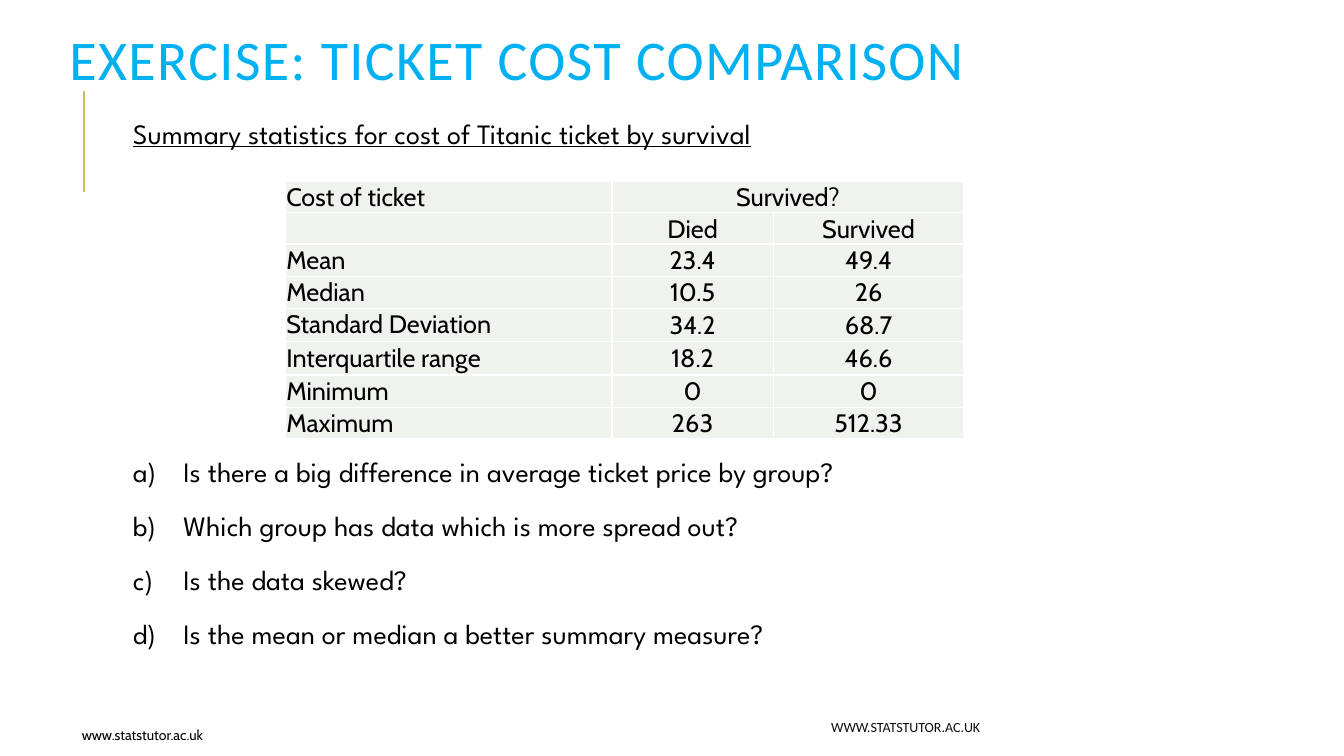
from lxml import etree
from pptx import Presentation
from pptx.dml.color import RGBColor
from pptx.enum import shapes, text
from pptx.oxml.ns import qn
from pptx.util import Inches, Pt

BLACK = RGBColor(0x00, 0x00, 0x00)
NEAR_BLACK = RGBColor(0x0D, 0x0D, 0x0D)
SKY = RGBColor(0x00, 0xB0, 0xF0)
GOLD = RGBColor(0xCE, 0xB9, 0x66)
PALE = RGBColor(0xEF, 0xF2, 0xED)

ANCHOR = text.MSO_ANCHOR
ALIGN = text.PP_ALIGN


def style(paragraph, font_name, size, color, align=ALIGN.LEFT):
    paragraph.alignment = align
    paragraph.font.name = font_name
    paragraph.font.size = Pt(size)
    paragraph.font.color.rgb = color


def add_text_frame(left, top, width, height, anchor):
    box = slide.shapes.add_textbox(Inches(left), Inches(top), Inches(width), Inches(height))
    frame = box.text_frame
    frame.word_wrap = True
    frame.vertical_anchor = anchor
    return frame


prs = Presentation()
prs.slide_width, prs.slide_height = Inches(13.33), Inches(7.5)
slide = prs.slides.add_slide(prs.slide_layouts[6])

# Accent line
accent = slide.shapes.add_connector(
    shapes.MSO_CONNECTOR.STRAIGHT, Inches(0.83), Inches(1.9), Inches(0.83), Inches(0.9))
accent.line.color.rgb = GOLD
accent.line.width = Pt(1.5)
etree.SubElement(accent._element.spPr, qn("a:effectLst"))

# Heading and lettered questions, with room for the table between them
QUESTIONS = [
    "Is there a big difference in average ticket price by group?",
    "Which group has data which is more spread out?",
    "Is the data skewed?",
    "Is the mean or median a better summary measure?",
]
body = add_text_frame(1.22, 1.11, 11.75, 5.55, ANCHOR.TOP)
heading = body.paragraphs[0]
heading.text = "Summary statistics for cost of Titanic ticket by survival"
heading.line_spacing = Pt(24)
style(heading, "League Spartan", 20, BLACK)
heading.font.underline = True
for number, wording in enumerate(QUESTIONS):
    question = body.add_paragraph()
    question.text = wording
    question.line_spacing = Pt(24)
    question.space_before = Pt(14.5 if number else 217)
    props = question._p.get_or_add_pPr()
    props.set("marL", str(Inches(0.5)))
    props.set("indent", str(Inches(-0.5)))
    etree.SubElement(props, qn("a:buAutoNum"), type="alphaLcParenR")
    style(question, "League Spartan", 20, BLACK)

# Title
title = add_text_frame(0.59, 0.16, 12.19, 0.95, ANCHOR.MIDDLE).paragraphs[0]
title.text = "EXERCISE: TICKET COST COMPARISON"
title.line_spacing = 0.8
style(title, "Calibri", 40, SKY)
title.runs[0]._r.get_or_add_rPr().set("spc", "100")

# Ticket cost table
COSTS = [
    ("Cost of ticket", "Survived?", ""),
    ("", "Died", "Survived"),
    ("Mean", "23.4", "49.4"),
    ("Median", "10.5", "26"),
    ("Standard Deviation", "34.2", "68.7"),
    ("Interquartile range", "18.2", "46.6"),
    ("Minimum", "0", "0"),
    ("Maximum", "263", "512.33"),
]
COLUMN_WIDTHS = (3.24, 1.6, 1.89)
ROW_HEIGHTS = (0.31, 0.31, 0.32, 0.32, 0.33, 0.33, 0.32, 0.31)
table = slide.shapes.add_table(
    len(COSTS), len(COLUMN_WIDTHS), Inches(2.83), Inches(1.8),
    Inches(sum(COLUMN_WIDTHS)), Inches(sum(ROW_HEIGHTS))).table
table.first_row = table.horz_banding = False
for column, width in zip(table.columns, COLUMN_WIDTHS):
    column.width = Inches(width)
for r, (row, height) in enumerate(zip(COSTS, ROW_HEIGHTS)):
    table.rows[r].height = Inches(height)
    for c, value in enumerate(row):
        cell = table.cell(r, c)
        cell.text = value
        cell.margin_left = cell.margin_right = cell.margin_top = Inches(0.01)
        cell.margin_bottom = 0
        if r < 2:
            cell.vertical_anchor = ANCHOR.BOTTOM
        else:
            cell.vertical_anchor = ANCHOR.MIDDLE if c else ANCHOR.TOP
        for side in ("a:lnL", "a:lnR", "a:lnT", "a:lnB"):
            border = etree.SubElement(cell._tc.get_or_add_tcPr(), qn(side), w=str(Pt(1)))
            etree.SubElement(etree.SubElement(border, qn("a:solidFill")), qn("a:srgbClr"), val="FFFFFF")
        cell.fill.solid()
        cell.fill.fore_color.rgb = PALE
        style(cell.text_frame.paragraphs[0], "Cabin", 18, BLACK, ALIGN.CENTER if c else ALIGN.LEFT)
table.cell(0, 1).merge(table.cell(0, 2))

# Footers
FOOTERS = [
    ("WWW.STATSTUTOR.AC.UK", (6.39, 7.01, 3.43, 0.4), ANCHOR.MIDDLE, "Calibri", NEAR_BLACK),
    ("www.statstutor.ac.uk", (-0.37, 7, 2.48, 0.42), ANCHOR.BOTTOM, "Cabin", BLACK),
]
for address, place, anchor, font_name, color in FOOTERS:
    footer = add_text_frame(*place, anchor).paragraphs[0]
    footer.text = address
    style(footer, font_name, 10, color, ALIGN.RIGHT)

prs.save("out.pptx")
